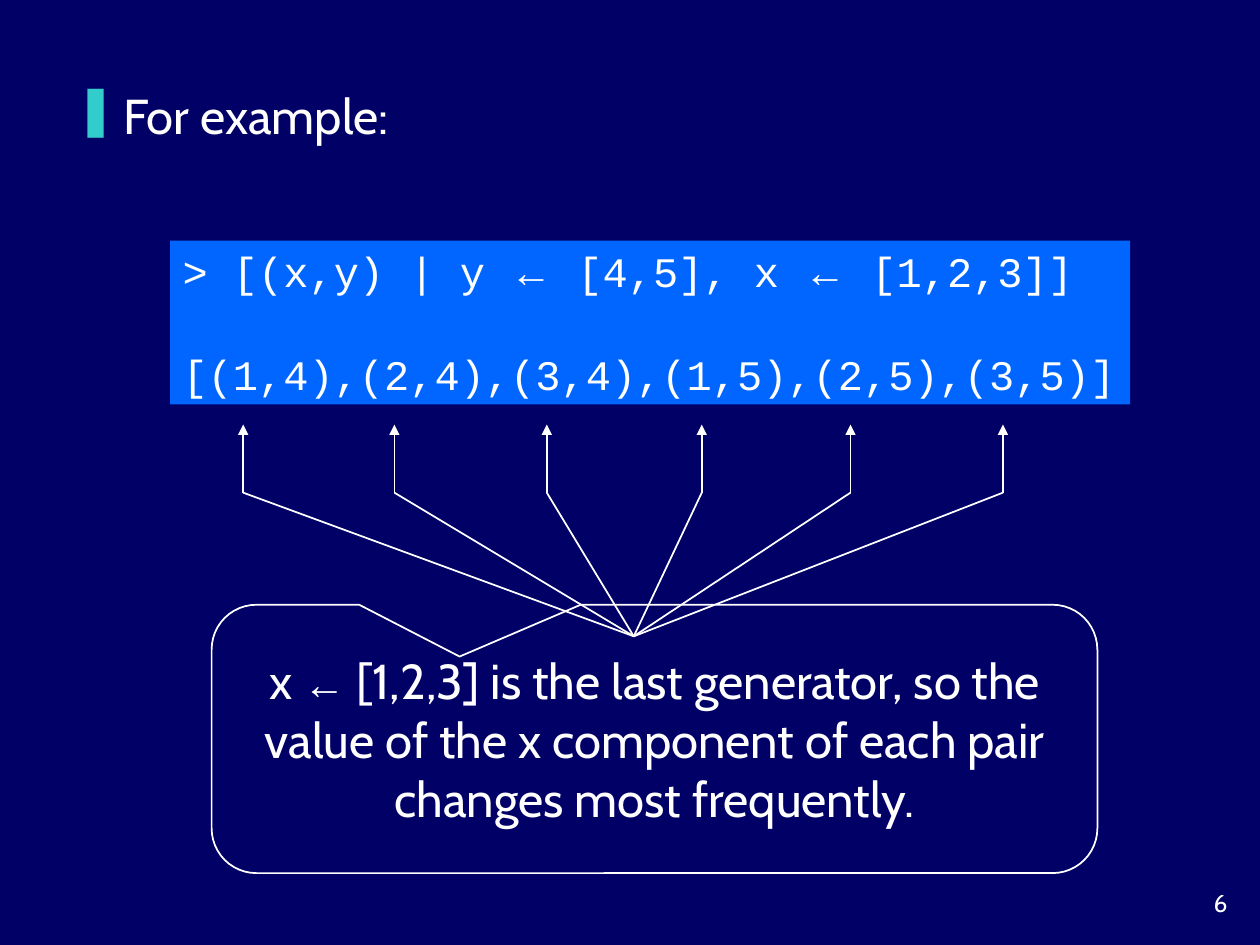
"""Build the slide on the order of generators in list comprehensions."""
from lxml import etree
from pptx import Presentation
from pptx.dml.color import RGBColor
from pptx.enum.shapes import MSO_CONNECTOR, MSO_SHAPE
from pptx.enum.text import MSO_ANCHOR, MSO_AUTO_SIZE, PP_ALIGN
from pptx.oxml.ns import qn
from pptx.util import Inches, Pt

STRAIGHT = MSO_CONNECTOR.STRAIGHT
RECTANGLE = MSO_SHAPE.RECTANGLE
CALLOUT = MSO_SHAPE.ROUNDED_RECTANGULAR_CALLOUT
TOP, MIDDLE = MSO_ANCHOR.TOP, MSO_ANCHOR.MIDDLE
LEFT, CENTER, RIGHT = PP_ALIGN.LEFT, PP_ALIGN.CENTER, PP_ALIGN.RIGHT
NO_AUTOFIT = MSO_AUTO_SIZE.NONE
WHITE = "FFFFFF"


def color(value):
    return RGBColor.from_string(value)


def add_runs(paragraph, align, *runs):
    paragraph.alignment = align
    for text, font, size in runs:
        run = paragraph.add_run()
        run.text = text
        run.font.name = font
        run.font.size = Pt(size)
        run.font.color.rgb = color(WHITE)


prs = Presentation()
prs.slide_width, prs.slide_height = Inches(10), Inches(7.5)
slide = prs.slides.add_slide(prs.slide_layouts[5])
slide.background.fill.solid()
slide.background.fill.fore_color.rgb = color("000066")
shapes = slide.shapes

heading = shapes.title
heading.left, heading.top = Inches(0.5), Inches(0.63)
heading.width, heading.height = Inches(3.11), Inches(0.65)
heading.text_frame.vertical_anchor = TOP
heading.text_frame.auto_size = NO_AUTOFIT
heading_line = heading.text_frame.paragraphs[0]
add_runs(heading_line, LEFT, ("For example:", "Cabin", 28))
heading_line.space_before = Pt(7)
bullet = heading_line._p.get_or_add_pPr()
bullet.set("marL", str(Inches(0.38)))
bullet.set("indent", str(-Inches(0.38)))
bullet_color = etree.SubElement(bullet, qn("a:buClr"))
etree.SubElement(bullet_color, qn("a:srgbClr"), val="33CCCC")
etree.SubElement(bullet, qn("a:buChar"), char="❚")

code = shapes.add_shape(RECTANGLE, Inches(1.35), Inches(1.91), Inches(7.62), Inches(1.3))
code.shadow.inherit = False
code.fill.solid()
code.fill.fore_color.rgb = color("0066FF")
code.line.fill.background()
code.text_frame.word_wrap = False
code.text_frame.vertical_anchor = MIDDLE
add_runs(
    code.text_frame.paragraphs[0], LEFT,
    ("> [(x,y) | y ", "Courier New", 24),
    ("←", "Arial", 24),
    (" [4,5], x ", "Courier New", 24),
    ("←", "Arial", 24),
    (" [1,2,3]]", "Courier New", 24),
)
result = code.text_frame.add_paragraph()
result.space_before = Pt(30)
add_runs(result, LEFT, ("[(1,4),(2,4),(3,4),(1,5),(2,5),(3,5)]", "Courier New", 24))

explanation = shapes.add_shape(CALLOUT, Inches(1.68), Inches(4.8), Inches(7.03), Inches(2.13))
for index, value in enumerate((-0.22, -0.307, 0.167)):
    explanation.adjustments[index] = value
explanation.shadow.inherit = False
explanation.fill.background()
explanation.line.color.rgb = color(WHITE)
explanation.line.width = Pt(1)
explanation.text_frame.word_wrap = True
explanation.text_frame.vertical_anchor = MIDDLE
add_runs(
    explanation.text_frame.paragraphs[0], CENTER,
    ("x ", "Cabin", 28),
    ("←", "Arial", 24),
    (" [1,2,3] is the last generator, so the value of the x component "
     "of each pair changes most frequently.", "Cabin", 28),
)

fan_x, fan_y, bend_y, tip_y = 5.03, 5.05, 3.91, 3.37
for pair_x in (1.93, 3.13, 4.34, 5.57, 6.75, 7.96):
    for start_x, start_y, end_y, has_arrow in (
        (pair_x, bend_y, tip_y, True),
        (fan_x, fan_y, bend_y, False),
    ):
        pointer = shapes.add_connector(
            STRAIGHT, Inches(start_x), Inches(start_y), Inches(pair_x), Inches(end_y))
        pointer.line.color.rgb = color(WHITE)
        pointer.line.width = Pt(1)
        if has_arrow:
            etree.SubElement(pointer.line._get_or_add_ln(), qn("a:tailEnd"), type="triangle")
        etree.SubElement(pointer._element.spPr, qn("a:effectLst"))

page_number = shapes.add_textbox(Inches(9.17), Inches(7), Inches(0.67), Inches(0.33))
page_number.text_frame.word_wrap = True
add_runs(page_number.text_frame.paragraphs[0], RIGHT, ("6", "Cabin", 14))

prs.save("out.pptx")
